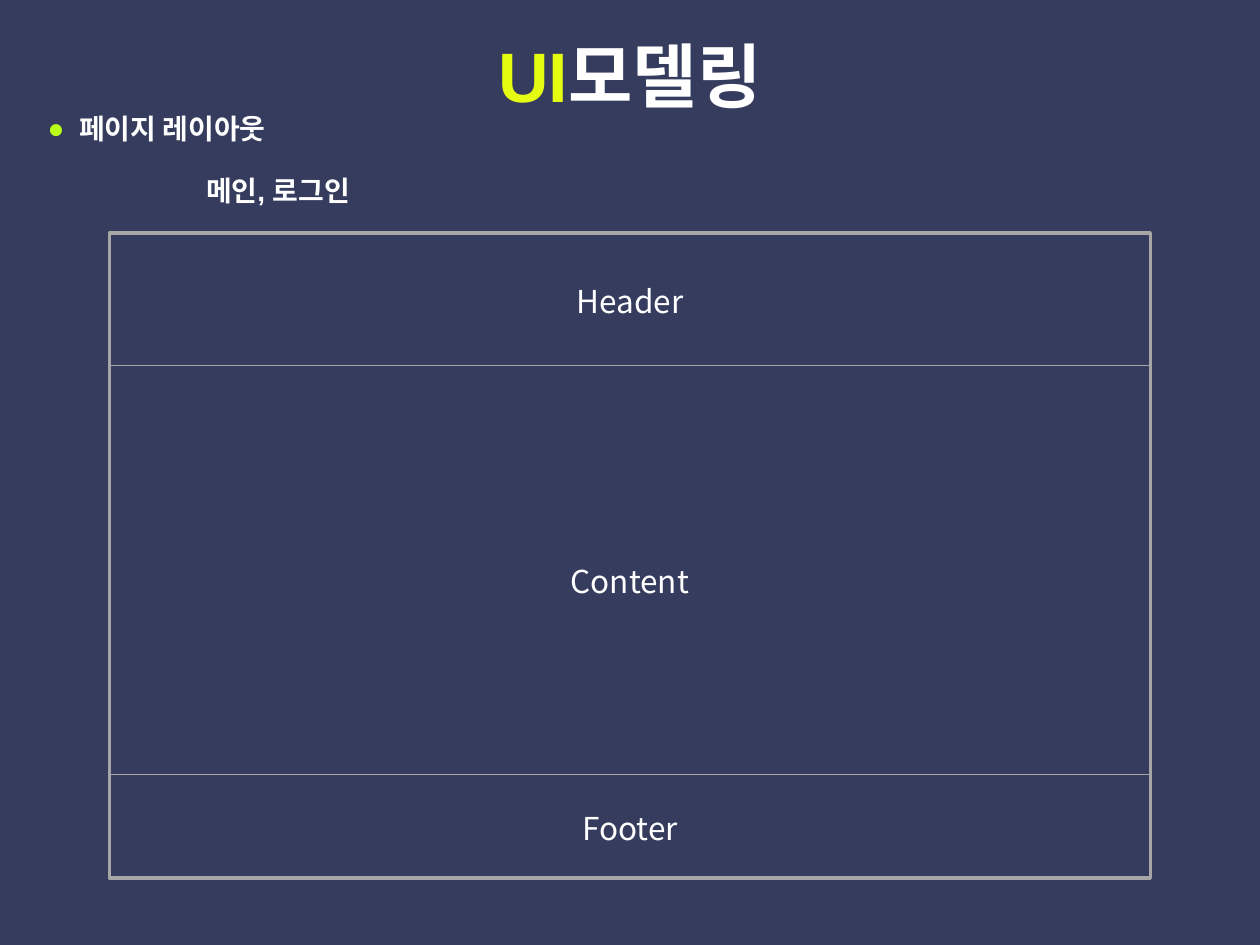
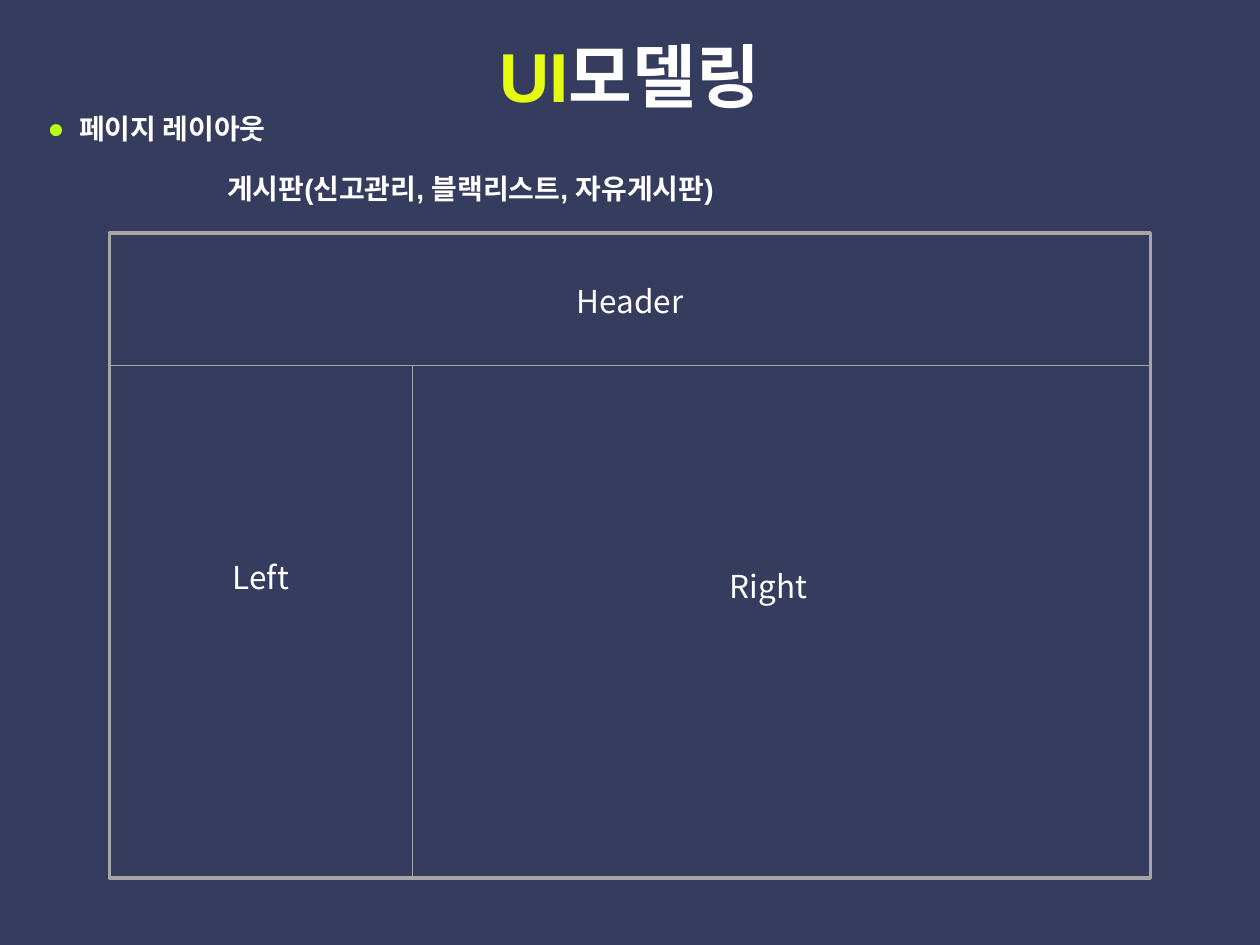
from lxml import etree
from pptx import Presentation
from pptx.dml.color import RGBColor
from pptx.enum.shapes import MSO_CONNECTOR as CONN, MSO_SHAPE as SHAPE
from pptx.enum.text import MSO_ANCHOR as ANCHOR, PP_ALIGN as ALIGN
from pptx.oxml.ns import qn
from pptx.util import Cm, Pt

BACK, WHITE, GRAY = "353C5D", "FFFFFF", "A6A6A6"
YELLOW, LIME = "E5FB11", "BAFF1A"
ARIAL, NOTO = "Arial", "Noto Sans CJK KR"
FRAME = (2.21, 4.7, 20.98, 13)
HEADER_H, FOOTER_TOP, LEFT_W = 2.67, 10.92, 6.1


def color(value):
    return RGBColor.from_string(value)


def add_run(p, text, size, fill=WHITE, font=ARIAL, bold=True):
    r = p.add_run()
    r.text = text
    r.font.size = Pt(size)
    r.font.name = font
    r.font.bold = bold
    r.font.color.rgb = color(fill)


def add_box(s, box, align=ALIGN.CENTER):
    tf = s.shapes.add_textbox(*map(Cm, box)).text_frame
    tf.word_wrap = True
    p = tf.paragraphs[0]
    p.alignment = align
    return tf, p


def add_title(s, box, size):
    tf, p = add_box(s, box)
    tf.vertical_anchor = ANCHOR.MIDDLE
    add_run(p, "UI", size, YELLOW)
    add_run(p, "모델링", size)
    p.add_line_break()
    end = etree.SubElement(p._p, qn("a:endParaRPr"), sz=str(round(size * 100)), b="1")
    etree.SubElement(end, qn("a:latin"), typeface=ARIAL)


def add_topic(s, box):
    tf, p = add_box(s, box, ALIGN.LEFT)
    pPr = p._p.get_or_add_pPr()
    indent = Cm(0.64)
    pPr.set("marL", str(indent))
    pPr.set("indent", str(-indent))
    bu_clr = etree.SubElement(pPr, qn("a:buClr"))
    etree.SubElement(bu_clr, qn("a:srgbClr"), val=LIME)
    etree.SubElement(pPr, qn("a:buFont"), typeface=ARIAL)
    etree.SubElement(pPr, qn("a:buChar"), char="●")
    add_run(p, "페이지 레이아웃", 16)


def add_line(s, x1, y1, x2, y2):
    line = s.shapes.add_connector(CONN.STRAIGHT, *map(Cm, (x1, y1, x2, y2)))
    line.line.color.rgb = color(GRAY)
    line.line.width = Pt(0.75)
    etree.SubElement(line._element.spPr, qn("a:effectLst"))


def add_label(s, text, center, top, width):
    tf, p = add_box(s, (center - width / 2, top, width, 1.02))
    add_run(p, text, 18, font=NOTO, bold=False)


def add_frame(s, box):
    x, y, w, h = box
    frame = s.shapes.add_shape(SHAPE.RECTANGLE, *map(Cm, box))
    frame.shadow.inherit = False
    frame.fill.background()
    frame.line.color.rgb = color(GRAY)
    frame.line.width = Pt(2)
    add_line(s, x, y + HEADER_H, x + w, y + HEADER_H)
    add_label(s, "Header", x + w / 2, y + 0.86, 7.85)


def add_stacked_layout(s, box):
    x, y, w, h = box
    add_frame(s, box)
    add_line(s, x, y + FOOTER_TOP, x + w, y + FOOTER_TOP)
    add_label(s, "Content", x + w / 2, y + 6.5, 7.85)
    add_label(s, "Footer", x + w / 2, y + 11.48, 7.85)


def add_split_layout(s, box):
    x, y, w, h = box
    add_frame(s, box)
    add_line(s, x + LEFT_W, y + HEADER_H, x + LEFT_W, y + h)
    add_label(s, "Left", x + LEFT_W / 2, y + 6.43, 4.85)
    add_label(s, "Right", x + 13.28, y + 6.6, 5.59)


def add_page(prs, title_size, pages, pages_box, add_layout):
    s = prs.slides.add_slide(prs.slide_layouts[6])
    s.background.fill.solid()
    s.background.fill.fore_color.rgb = color(BACK)
    add_title(s, (1.27, 0.76, 22.86, 3.18), title_size)
    add_layout(s, FRAME)
    tf, p = add_box(s, pages_box)
    add_run(p, pages, 16)
    add_topic(s, (0.71, 2.13, 7.39, 0.94))


def main():
    prs = Presentation()
    prs.slide_width, prs.slide_height = Cm(25.4), Cm(19.05)
    add_page(prs, 40, "메인, 로그인", (1.91, 3.38, 7.39, 0.94), add_stacked_layout)
    add_page(prs, 39.6, "게시판(신고관리, 블랙리스트, 자유게시판)",
             (2.69, 3.33, 13.59, 0.94), add_split_layout)
    prs.save("out.pptx")


if __name__ == "__main__":
    main()
